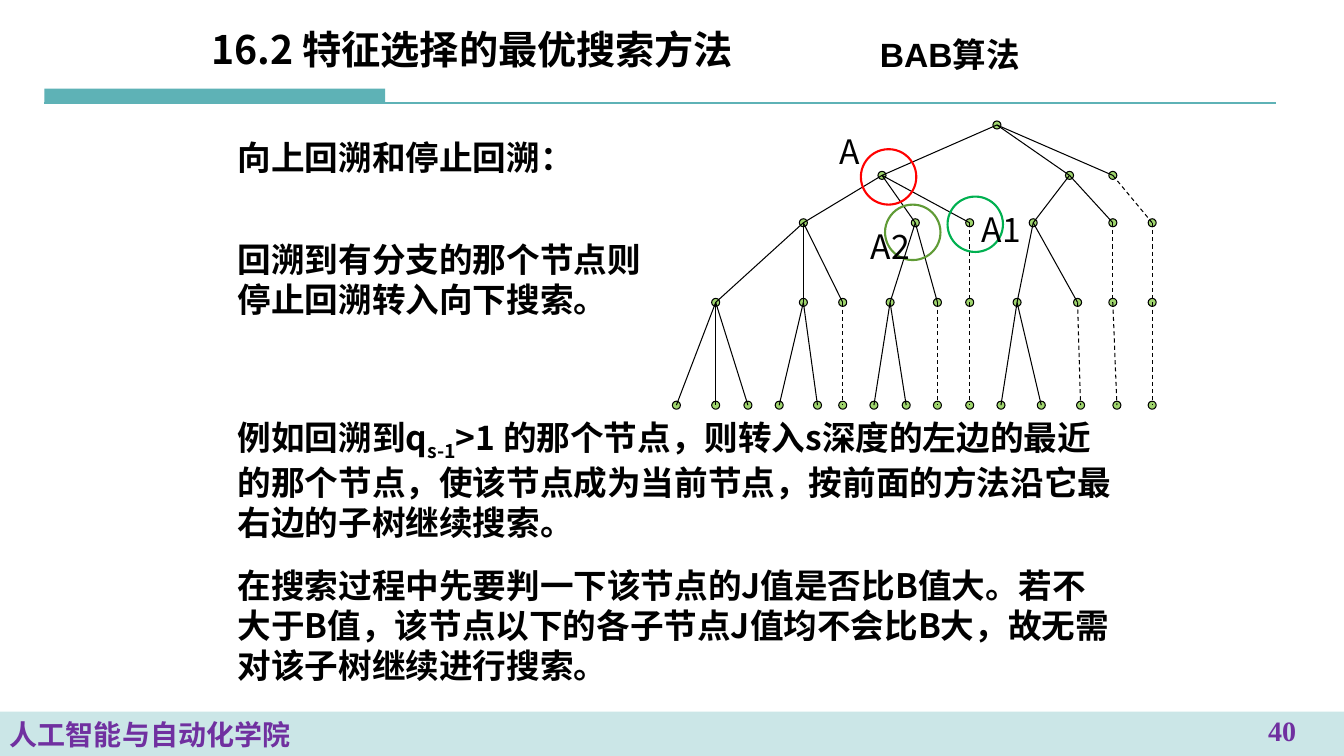
"""Builds the slide on backtracking in the branch and bound search tree."""
from dataclasses import dataclass
from typing import Optional

import lxml.etree
import pptx
import pptx.dml.color
import pptx.enum.dml
import pptx.enum.shapes
import pptx.enum.text
import pptx.oxml.ns
import pptx.util

COLORS = {
    "teal": "5EB2B6", "purple": "7030A0", "black": "000000", "node": "9FD56D",
    "red": "FF0000", "green": "00B050", "olive": "609B36",
}
SANS, ARIAL, SERIF = "Noto Sans CJK SC", "Arial", "Times New Roman"
SLIDE_COLUMNS, SLIDE_ROWS = 133.33, 75
CELL = pptx.util.Inches(0.1)
NODE_SIZE = 0.8
RING_SIZE = 5.5
OVAL = pptx.enum.shapes.MSO_SHAPE.OVAL
RECTANGLE = pptx.enum.shapes.MSO_SHAPE.RECTANGLE
LEFT = pptx.enum.text.PP_ALIGN.LEFT
CENTER = pptx.enum.text.PP_ALIGN.CENTER
TOP = pptx.enum.text.MSO_ANCHOR.TOP
MIDDLE = pptx.enum.text.MSO_ANCHOR.MIDDLE


@dataclass
class Box:
    column: float
    row: float
    columns: float
    rows: float


@dataclass
class Label:
    box: Box
    runs: tuple[str, ...]
    font: str = SANS
    size: int = 24
    bold: bool = True
    color: str = "black"
    alignment: pptx.enum.text.PP_ALIGN = LEFT
    anchor: pptx.enum.text.MSO_ANCHOR = TOP
    spacing: Optional[float] = 28.6


@dataclass
class Ring:
    column: float
    row: float
    color: str


@dataclass
class Level:
    row: float
    columns: tuple[float, ...]
    child_counts: tuple[int, ...] = ()


TITLE = Label(Box(20, 1.7, 67.5, 6.2), ("16.2 特征选择的最优搜索方法",),
              size=28, anchor=MIDDLE, spacing=None)
FOOTER = Label(Box(0, 70.6, SLIDE_COLUMNS, 4.4), ("人工智能与自动化学院",), ARIAL, 20,
               color="purple", anchor=MIDDLE, spacing=None)
LABELS = (
    Label(Box(22.6, 13.1, 42.5, 5), ("向上回溯和停止回溯：",)),
    Label(Box(22.6, 23.2, 42.5, 9.1), ("回溯到有分支的那个节点则停止回溯转入向下搜索。",)),
    Label(Box(22.6, 41.4, 89, 13.1), (
        "例如回溯到q", "s-1",
        ">1 的那个节点，则转入s深度的左边的最近的那个节点，使该节点成为当前节点，"
        "按前面的方法沿它最右边的子树继续搜索。")),
    Label(Box(22.6, 55.6, 89, 13.1), (
        "在搜索过程中先要判一下该节点的J值是否比B值大。若不大于B值，"
        "该节点以下的各子节点J值均不会比B大，故无需对该子树继续进行搜索。",)),
    Label(Box(82.3, 12.5, 4.7, 5.1), ("A",), bold=False),
    Label(Box(96.4, 20.3, 7.3, 5.1), ("A1",), bold=False),
    Label(Box(85.4, 21.9, 6.2, 5.1), ("A2",), bold=False),
    Label(Box(121.1, 70.3, 12.2, 3.9), ("40",), SERIF, 20, color="purple",
          alignment=CENTER, spacing=None),
    Label(Box(86.3, 2.9, 18.9, 5), ("BAB算法",), ARIAL, spacing=None),
)
RINGS = (Ring(85.4, 14.8, "red"), Ring(94, 19.5, "green"), Ring(87.8, 20.3, "olive"))
TREE = (
    Level(12, (98.5,), (3,)),
    Level(17, (87.1, 105.7, 110), (3, 2, 1)),
    Level(21.7, (79.3, 90.4, 95.8, 102.1, 110, 113.9), (3, 2, 1, 2, 1, 1)),
    Level(29.6, (70.6, 79.3, 83.2, 87.9, 92.6, 95.8, 100.5, 106.5, 110, 113.9),
          (3, 2, 1, 2, 1, 1, 2, 1, 1, 1)),
    Level(39.8, (66.7, 70.6, 73.8, 76.9, 80.7, 83.2, 86.3, 89.5, 92.6, 95.8,
                 98.9, 102.9, 106.8, 110.4, 113.9)),
)


def cells(count: float) -> pptx.util.Emu:
    return pptx.util.Emu(round(count * CELL))


def place(box: Box) -> tuple[pptx.util.Emu, ...]:
    return cells(box.column), cells(box.row), cells(box.columns), cells(box.rows)


def rgb(name: str) -> pptx.dml.color.RGBColor:
    return pptx.dml.color.RGBColor.from_string(COLORS[name])


def add_figure(slide, preset, box: Box, fill: Optional[str] = None,
               outline: Optional[str] = None, weight: float = 0.75):
    shape = slide.shapes.add_shape(preset, *place(box))
    shape.shadow.inherit = False
    if fill:
        shape.fill.solid()
        shape.fill.fore_color.rgb = rgb(fill)
    else:
        shape.fill.background()
    if outline:
        shape.line.color.rgb = rgb(outline)
        shape.line.width = pptx.util.Pt(weight)
    else:
        shape.line.fill.background()
    return shape


def add_line(slide, start: tuple[float, float], end: tuple[float, float],
             color: str, weight: float, dashed: bool = False) -> None:
    connector = slide.shapes.add_connector(
        pptx.enum.shapes.MSO_CONNECTOR.STRAIGHT, *map(cells, start + end))
    connector.line.color.rgb = rgb(color)
    connector.line.width = pptx.util.Pt(weight)
    if dashed:
        connector.line.dash_style = pptx.enum.dml.MSO_LINE.DASH
    lxml.etree.SubElement(connector.element.spPr, pptx.oxml.ns.qn("a:effectLst"))


def write(shape, label: Label) -> None:
    frame = shape.text_frame
    frame.word_wrap = True
    frame.auto_size = pptx.enum.text.MSO_AUTO_SIZE.NONE
    frame.vertical_anchor = label.anchor
    paragraph = frame.paragraphs[0]
    paragraph.alignment = label.alignment
    if label.spacing:
        paragraph.line_spacing = pptx.util.Pt(label.spacing)
    for index, text in enumerate(label.runs):
        run = paragraph.add_run()
        run.text = text
        if index == 1:
            run.font._element.set("baseline", "-25000")
    font = paragraph.font
    font.name = label.font
    font.size = pptx.util.Pt(label.size)
    font.bold = label.bold
    font.color.rgb = rgb(label.color)
    east_asian = lxml.etree.SubElement(font._element, pptx.oxml.ns.qn("a:ea"))
    east_asian.set("typeface", SANS)


def add_frame(slide) -> None:
    add_figure(slide, RECTANGLE, Box(4.4, 8.8, 33.8, 1.4), "teal")
    add_line(slide, (4.4, 10.2), (126.6, 10.2), "teal", 1.5)
    band = add_figure(slide, RECTANGLE, FOOTER.box, "teal")
    color = band.element.spPr.find(".//" + pptx.oxml.ns.qn("a:srgbClr"))
    lxml.etree.SubElement(color, pptx.oxml.ns.qn("a:alpha")).set("val", "32000")
    write(band, FOOTER)


def add_tree(slide) -> None:
    for level in TREE:
        for column in level.columns:
            add_figure(slide, OVAL, Box(column, level.row, NODE_SIZE, NODE_SIZE),
                       "node", "black")
    middle = NODE_SIZE / 2
    for upper, lower in zip(TREE, TREE[1:]):
        children = iter(lower.columns)
        for parent, count in zip(upper.columns, upper.child_counts):
            for _ in range(count):
                add_line(slide, (parent + middle, upper.row + middle),
                         (next(children) + middle, lower.row + middle),
                         "black", 0.75, dashed=count == 1)


def main() -> None:
    presentation = pptx.Presentation()
    presentation.slide_width = cells(SLIDE_COLUMNS)
    presentation.slide_height = cells(SLIDE_ROWS)
    slide = presentation.slides.add_slide(presentation.slide_layouts[5])
    title = slide.shapes.title
    title.left, title.top, title.width, title.height = place(TITLE.box)
    write(title, TITLE)
    add_frame(slide)
    add_tree(slide)
    for ring in RINGS:
        add_figure(slide, OVAL, Box(ring.column, ring.row, RING_SIZE, RING_SIZE),
                   outline=ring.color, weight=1.5)
    for label in LABELS:
        write(slide.shapes.add_textbox(*place(label.box)), label)
    presentation.save("out.pptx")


if __name__ == "__main__":
    main()
